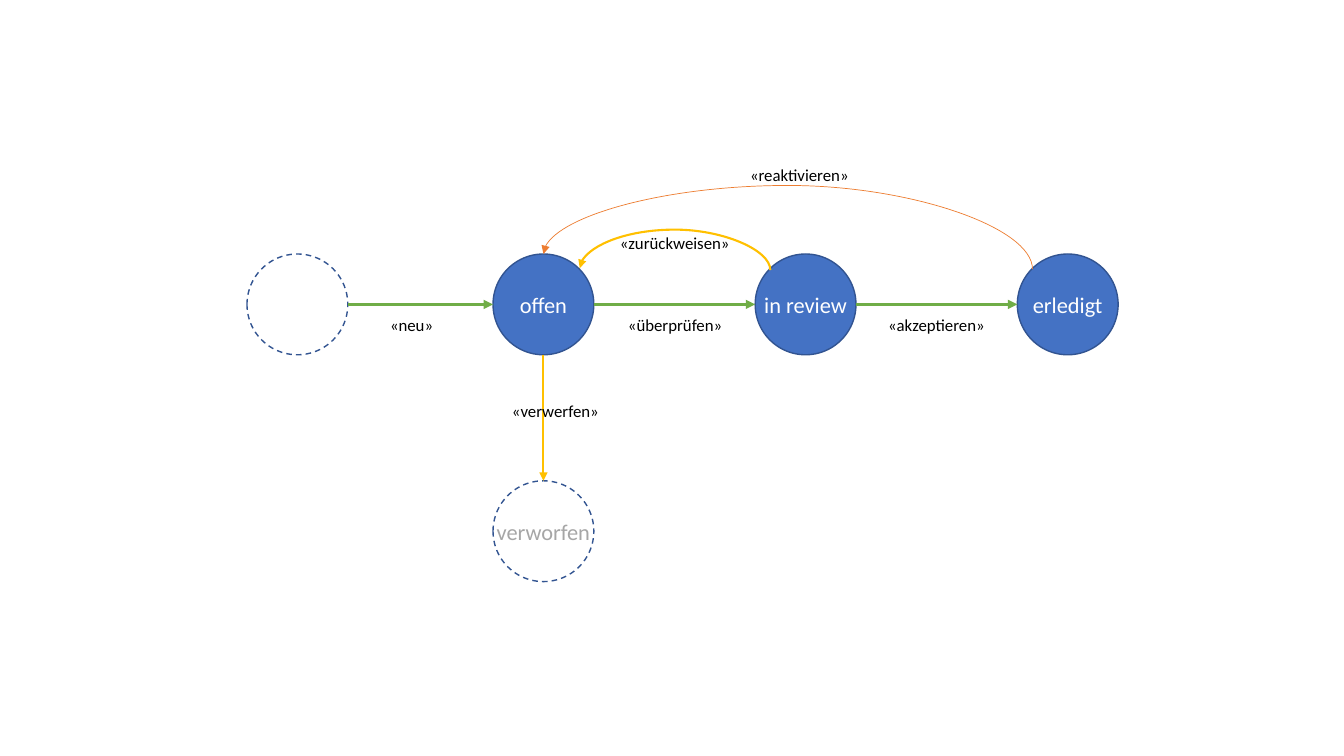
from dataclasses import dataclass

from lxml import etree
from pptx import Presentation
from pptx.dml import color
from pptx.enum import dml, shapes, text
from pptx.oxml import ns
from pptx.util import Inches, Pt


@dataclass(frozen=True)
class Theme:
    font: str = "Calibri"
    state_size: float = 16
    label_size: float = 12
    active: str = "4472C4"
    outline: str = "325491"
    empty: str = "FFFFFF"
    active_text: str = "FFFFFF"
    muted_text: str = "A6A6A6"
    label_text: str = "000000"
    forward: str = "70AD47"
    reject: str = "FFC000"
    reopen: str = "ED7D31"
    outline_width: float = 1
    forward_width: float = 2.25
    reject_width: float = 1.5
    reopen_width: float = 0.5


def rgb(value):
    return color.RGBColor.from_string(value)


class StateDiagram:
    def __init__(self, slide, theme):
        self.slide = slide
        self.theme = theme

    def set_wording(self, frame, wording, size, ink):
        frame.text = wording
        frame.word_wrap = False
        font = frame.paragraphs[0].runs[0].font
        font.name = self.theme.font
        font.size = Pt(size)
        font.color.rgb = rgb(ink)

    def state(self, left, top, wording="", active=True):
        theme = self.theme
        circle = self.slide.shapes.add_shape(
            shapes.MSO_SHAPE.OVAL, Inches(left), Inches(top), Inches(DIAMETER), Inches(DIAMETER))
        circle.shadow.inherit = False
        circle.fill.solid()
        circle.fill.fore_color.rgb = rgb(theme.active if active else theme.empty)
        circle.line.color.rgb = rgb(theme.outline)
        circle.line.width = Pt(theme.outline_width)
        if not active:
            circle.line.dash_style = dml.MSO_LINE.DASH
        if wording:
            frame = circle.text_frame
            self.set_wording(frame, wording, theme.state_size,
                             theme.active_text if active else theme.muted_text)
            frame.vertical_anchor = text.MSO_ANCHOR.MIDDLE
            frame.paragraphs[0].alignment = text.PP_ALIGN.CENTER

    def arrow(self, start, end, ink, width, kind=shapes.MSO_CONNECTOR.STRAIGHT):
        connector = self.slide.shapes.add_connector(
            kind, *(Inches(value) for value in (*start, *end)))
        connector.line.color.rgb = rgb(ink)
        connector.line.width = Pt(width)
        properties = connector._element.spPr
        etree.SubElement(properties.find(ns.qn("a:ln")), ns.qn("a:tailEnd"), type="triangle")
        etree.SubElement(properties, ns.qn("a:effectLst"))
        return connector

    def return_arc(self, start, end, rise, ink, width):
        span, drop = start[0] - end[0], start[1] - end[1]
        center_x, center_y = (start[0] + end[0]) / 2, (start[1] + end[1]) / 2
        arc = self.arrow((center_x - drop / 2, center_y + span / 2),
                         (center_x + drop / 2, center_y - span / 2),
                         ink, width, shapes.MSO_CONNECTOR.CURVE)
        properties = arc._element.spPr
        properties.find(ns.qn("a:xfrm")).set("rot", str(270 * 60000))
        adjustments = properties.find(ns.qn("a:prstGeom")).get_or_add_avLst()
        etree.SubElement(adjustments, ns.qn("a:gd"), name="adj1",
                         fmla=f"val {round(rise / drop * 100000)}")

    def label(self, left, top, width, wording):
        box = self.slide.shapes.add_textbox(
            Inches(left), Inches(top), Inches(width), Inches(0.3))
        self.set_wording(box.text_frame, wording, self.theme.label_size, self.theme.label_text)
        box.text_frame.auto_size = text.MSO_AUTO_SIZE.SHAPE_TO_FIT_TEXT


DIAMETER = 1
ROW_TOP = 2.52
ROW_MIDDLE = ROW_TOP + DIAMETER / 2
DISCARDED_TOP = 4.77
START_LEFT = 2.45
OPEN_LEFT, REVIEW_LEFT, DONE_LEFT = (4.89 + 2.6 * step for step in range(3))
OPEN_CENTER = OPEN_LEFT + DIAMETER / 2

presentation = Presentation()
presentation.slide_width = Inches(13.33)
presentation.slide_height = Inches(7.5)
theme = Theme()
diagram = StateDiagram(presentation.slides.add_slide(presentation.slide_layouts[6]), theme)

for left, top, wording, active in (
    (OPEN_LEFT, ROW_TOP, "offen", True),
    (OPEN_LEFT, DISCARDED_TOP, "verworfen", False),
    (REVIEW_LEFT, ROW_TOP, "in review", True),
    (DONE_LEFT, ROW_TOP, "erledigt", True),
    (START_LEFT, ROW_TOP, "", False),
):
    diagram.state(left, top, wording, active)

row = (START_LEFT, OPEN_LEFT, REVIEW_LEFT, DONE_LEFT)
for source, target in zip(row, row[1:]):
    diagram.arrow((source + DIAMETER, ROW_MIDDLE), (target, ROW_MIDDLE),
                  theme.forward, theme.forward_width)
diagram.arrow((OPEN_CENTER, ROW_TOP + DIAMETER), (OPEN_CENTER, DISCARDED_TOP),
              theme.reject, theme.reject_width)
diagram.return_arc((7.64, 2.68), (5.75, 2.66), 0.4, theme.reject, theme.reject_width)
diagram.return_arc((10.24, 2.67), (OPEN_CENTER, ROW_TOP), 0.83,
                   theme.reopen, theme.reopen_width)

for left, top, width, wording in (
    (4.98, 3.93, 1.07, "«verwerfen»"),
    (6.05, 2.26, 1.3, "«zurückweisen»"),
    (6.13, 3.07, 1.14, "«überprüfen»"),
    (3.77, 3.07, 0.63, "«neu»"),
    (8.71, 3.07, 1.17, "«akzeptieren»"),
    (7.34, 1.59, 1.19, "«reaktivieren»"),
):
    diagram.label(left, top, width, wording)

presentation.save("out.pptx")
